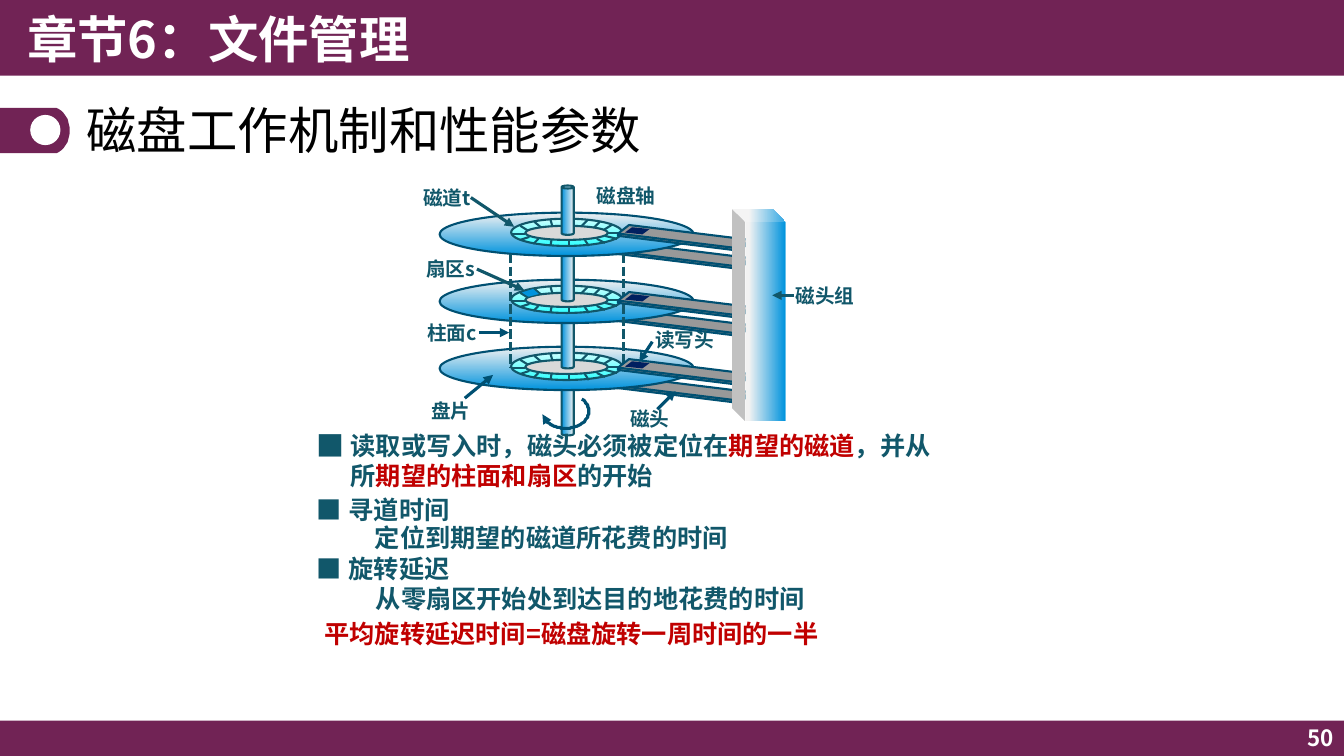
"""Build the slide on how a disk works and its performance figures."""
from math import cos, radians, sin

from pptx import Presentation
from pptx.dml.color import RGBColor
from pptx.enum.dml import MSO_LINE
from pptx.enum.shapes import MSO_CONNECTOR, MSO_SHAPE
from pptx.enum.text import MSO_ANCHOR, PP_ALIGN
from pptx.oxml.xmlchemy import OxmlElement
from pptx.util import Inches, Pt

RECT, OVAL, CAN, CUBE = MSO_SHAPE.RECTANGLE, MSO_SHAPE.OVAL, MSO_SHAPE.CAN, MSO_SHAPE.CUBE
SLANT, LINE, DASH = MSO_SHAPE.PARALLELOGRAM, MSO_CONNECTOR.STRAIGHT, MSO_LINE.SQUARE_DOT
TOP, MID = MSO_ANCHOR.TOP, MSO_ANCHOR.MIDDLE
LEFT, RIGHT = PP_ALIGN.LEFT, PP_ALIGN.RIGHT
FONT, MARK = "Noto Sans CJK SC", "Noto Sans CJK JP"
PLUM, TEAL, DEEP, RED, WHITE = "712355", "11576A", "005072", "C00000", "FFFFFF"
CELL = Inches(0.01)
WIDE, HIGH = 1333, 750

deck = Presentation()
deck.slide_width, deck.slide_height = WIDE * CELL, HIGH * CELL
slide = deck.slides.add_slide(deck.slide_layouts[6])
shapes = slide.shapes


def paint(shape, fill=None, edge=None, width=1.5, arrow=False):
    """Set fill, edge and arrowhead; a gradient is (from, to, angle, start)."""
    if isinstance(fill, tuple):
        shape.fill.gradient()
        shape.fill.gradient_angle = fill[2]
        stops = shape.fill.gradient_stops
        for stop, tone in zip(stops, fill):
            stop.color.rgb = RGBColor.from_string(tone)
        stops[0].position = fill[3]
    elif fill:
        shape.fill.solid()
        shape.fill.fore_color.rgb = RGBColor.from_string(fill)
    if edge:
        shape.line.color.rgb = RGBColor.from_string(edge)
        shape.line.width = Pt(width)
    else:
        shape.line.fill.background()
    if arrow:
        tip = OxmlElement("a:tailEnd")
        tip.set("type", "triangle")
        shape.line._get_or_add_ln().append(tip)
    shape._element.spPr.append(OxmlElement("a:effectLst"))
    return shape


def write(box, runs, size, tone=TEAL, bold=True, font=FONT, anchor=TOP, align=LEFT, gap=1):
    """Write one paragraph of (text, colour) runs in a box of grid cells."""
    frame = shapes.add_textbox(*(v * CELL for v in box)).text_frame
    frame.word_wrap = True
    frame.vertical_anchor = anchor
    para = frame.paragraphs[0]
    para.alignment = align
    para.line_spacing = gap
    para.font.size, para.font.bold, para.font.name = Pt(size), bold, font
    para.font.color.rgb = RGBColor.from_string(tone)
    east = OxmlElement("a:ea")
    east.set("typeface", font)
    para.font._element.find(OxmlElement("a:latin").tag).addnext(east)
    for text, hue in runs:
        run = para.add_run()
        run.text = text
        if hue != tone:
            run.font.color.rgb = RGBColor.from_string(hue)


for top, high in ((715, 36), (0, 75)):
    paint(shapes.add_shape(RECT, 0, top * CELL, WIDE * CELL, high * CELL), PLUM)

turns = [radians(a) for a in range(-90, 91, 10)]
curve = [(53 + 16 * cos(a), 129.5 + 22.5 * sin(a)) for a in turns]
badge = shapes.build_freeform(0, 107, scale=CELL)
badge.add_line_segments(curve + [(0, 152)])
paint(badge.convert_to_shape(), PLUM)
paint(shapes.add_shape(OVAL, *(v * CELL for v in (30, 114, 30, 30))), WHITE)
write((17, 0, 667, 77), [("章节6：文件管理", WHITE)], 36, WHITE, anchor=MID)

SHAFT = ("F2F2F2", "0093DD", 180, 0)
PLATE = ("F2F2F2", "0093DD", 270, 0)
RING = ("CCFFFF", "33FFFF", 270, 0)
ARM = (613, 131, 12)
TICKS = ((548, 225, 546, 218), (537, 226, 530, 220), (524, 229, 516, 224),
         (521, 232, 507, 232), (617, 231, 603, 231), (600, 241, 592, 237),
         (584, 244, 580, 238), (564, 239, 564, 245), (612, 237, 600, 234),
         (547, 238, 546, 244), (534, 237, 529, 242), (525, 235, 516, 238),
         (576, 225, 583, 218), (589, 226, 595, 220), (599, 228, 607, 223))
DROPS = [i * 66.5 for i in (2, 1, 0)]

for drop in DROPS:
    for kind, x, y, w, h, fill, edge in (
            (CAN, 557, 250, 12, 49, SHAFT, TEAL), (CUBE, 613, 248, 131, 12, "808080", DEEP),
            (OVAL, 436, 211, 252, 43, PLATE, DEEP), (OVAL, 507, 217, 110, 27, RING, TEAL)):
        part = shapes.add_shape(kind, *(int(v * CELL) for v in (x, y + drop, w, h)))
        paint(part, fill, edge)
        if kind == CUBE:
            part.rotation, part.adjustments[0] = 7, 0.81
    for x1, y1, x2, y2 in TICKS:
        ends = (int(v * CELL) for v in (x1, y1 + drop, x2, y2 + drop))
        paint(shapes.add_connector(LINE, *ends), edge=TEAL)
    hub = (int(v * CELL) for v in (521, 224 + drop, 82, 14))
    paint(shapes.add_shape(OVAL, *hub), "D9D9D9", TEAL)
paint(shapes.add_shape(CAN, *(v * CELL for v in (557, 184, 12, 49))), SHAFT, TEAL)

for x in (506, 618):
    rule = shapes.add_connector(LINE, *(v * CELL for v in (x, 252, x, 364)))
    paint(rule, edge=TEAL, width=2.25).line.dash_style = DASH

patch = shapes.build_freeform(516, 290, scale=CELL)
patch.add_line_segments([(524, 295), (536, 292), (529, 286)])
paint(patch.convert_to_shape(), "0093DD", TEAL, 0.75)

for drop in reversed(DROPS):
    for kind, x, y, w, h, turn, bend, fill, edge in (
            (CUBE, 613, 230, 131, 12, 7, 0.81, "808080", DEEP),
            (SLANT, 620, 226, 24, 6, 6, 1.09, "002060", None)):
        part = shapes.add_shape(kind, *(int(v * CELL) for v in (x, y + drop, w, h)))
        part.rotation, part.adjustments[0] = turn, bend
        paint(part, fill, edge)

turns = [radians(a) for a in range(-45, 171, 5)]
curve = [(561 + 23 * cos(a), 408 + 17 * sin(a)) for a in turns]
spin = shapes.build_freeform(*curve[0], scale=CELL)
spin.add_line_segments(curve[1:], close=False)
spin = spin.convert_to_shape()
spin.fill.background()
paint(spin, edge=DEEP, width=2.25, arrow=True)

post = shapes.add_shape(CUBE, *(v * CELL for v in (726, 207, 53, 211)))
post._element.spPr.xfrm.set("flipH", "1")
paint(post, ("F2F2F2", "0093DD", 180, 0.32))

for x1, y1, x2, y2, tone in (
        (467, 196, 510, 225, TEAL), (473, 267, 520, 288, TEAL), (475, 330, 505, 330, DEEP),
        (461, 395, 489, 372, DEEP), (652, 406, 670, 388, DEEP), (647, 339, 634, 359, DEEP),
        (788, 293, 766, 293, TEAL)):
    ends = (v * CELL for v in (x1, y1, x2, y2))
    paint(shapes.add_connector(LINE, *ends), edge=tone, width=2.25, arrow=True)

for text, x, y, w in (
        ("磁道t", 410, 180, 68), ("磁盘轴", 582, 178, 79), ("磁头组", 779, 277, 79),
        ("扇区s", 413, 250, 69), ("柱面c", 414, 313, 70), ("盘片", 418, 391, 59),
        ("磁头", 615, 399, 59), ("读写头", 640, 320, 79)):
    write((x, y, w, 34), [(text, TEAL)], 14)

for y, size in ((420, 20), (485, 18), (544, 18)):
    write((304, y, 47, 40), [("■", TEAL)], size, font=MARK)
write((338, 422, 609, 71), [
    ("读取或写入时，磁头必须被定位在", TEAL), ("期望的磁道", RED), ("，并从所", TEAL),
    ("期望的柱面和扇区", RED), ("的开始", TEAL)], 18)
for text, x, y, w, tone, gap in (
        ("寻道时间", 336, 485, 164, TEAL, 1),
        ("定位到期望的磁道所花费的时间", 362, 517, 426, TEAL, 0.9),
        ("旋转延迟", 336, 544, 164, TEAL, 1),
        ("从零扇区开始处到达目的地花费的时间", 363, 577, 551, TEAL, 0.9),
        ("平均旋转延迟时间=磁盘旋转一周时间的一半", 312, 612, 590, RED, 0.9)):
    write((x, y, w, 37), [(text, tone)], 18, tone, gap=gap)

write((76, 95, 1181, 74), [("磁盘工作机制和性能参数", "000000")], 36, "000000", False,
      anchor=MID, gap=0.9)
write((1033, 714, 300, 36), [("50", WHITE)], 16, WHITE, anchor=MID, align=RIGHT)

deck.save("out.pptx")
